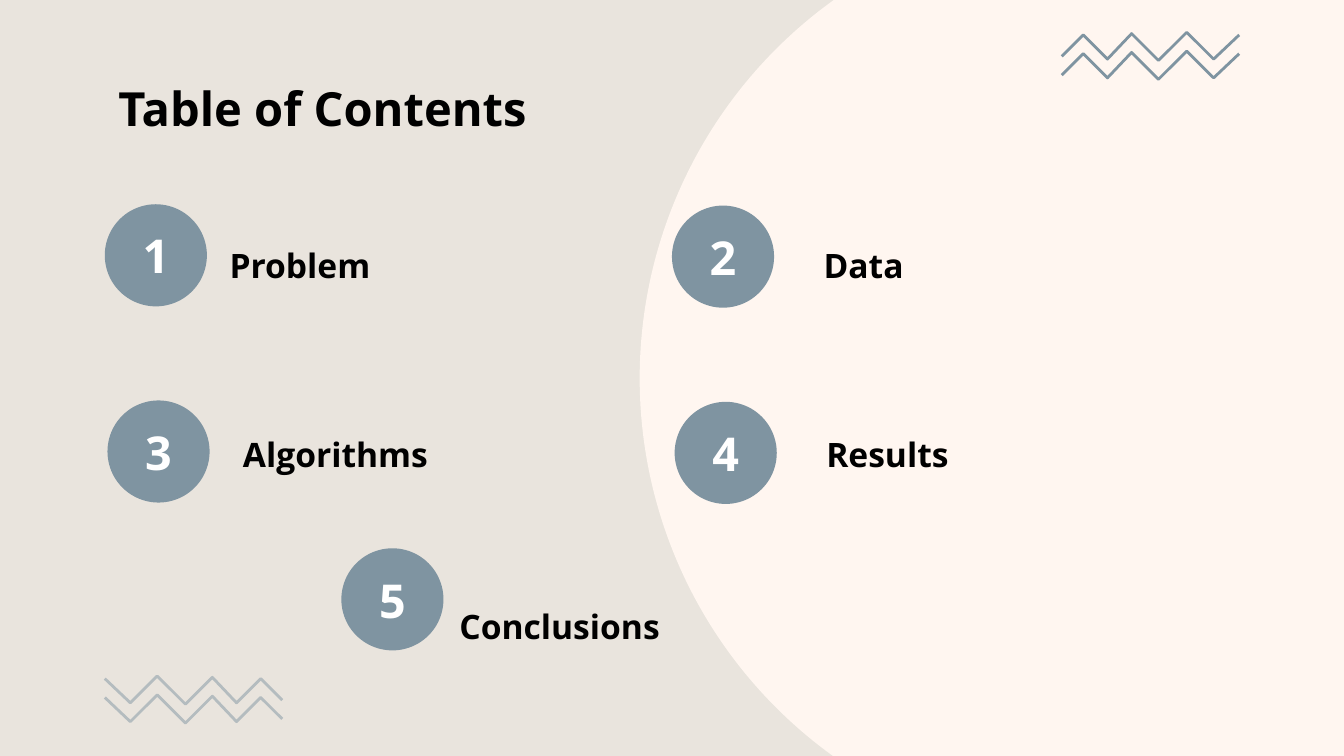
from pptx import Presentation
from pptx.dml.color import RGBColor
from pptx.enum.shapes import MSO_SHAPE
from pptx.enum.text import MSO_ANCHOR, PP_ALIGN
from pptx.util import Inches, Pt

FONT = "Open Sans"
SAND, CREAM, SLATE, MIST = "E9E4DD", "FFF6F0", "7F94A1", "B4BCBF"
BLACK, WHITE = "000000", "FFFFFF"

TITLE = "Table of Contents"
DISC, DIGIT = 0.76, 0.63
LABEL_W, LABEL_H = 2.83, 0.4

# number, label, disc left and top, label left and top
TOPICS = [
    ("1", "Problem", (0.78, 1.52), (1.61, 1.77)),
    ("2", "Data", (5.0, 1.53), (6.03, 1.77)),
    ("3", "Algorithms", (0.8, 2.98), (1.71, 3.18)),
    ("4", "Results", (5.02, 2.99), (6.05, 3.18)),
    ("5", "Conclusions", (2.54, 4.08), (3.32, 4.46)),
]

# left, top, direction, colour
WAVES = [(2.1, 5.03, -1, MIST), (7.9, 0.24, 1, SLATE)]
WAVE_GAP = 0.14
ZIGZAG = [(0, 0.18), (0.16, 0.02), (0.34, 0.2), (0.52, 0.01),
          (0.72, 0.21), (0.93, 0), (1.13, 0.2), (1.32, 0.02)]


def color(code):
    """Turn a hex string into a colour."""
    return RGBColor.from_string(code)


def write(shape, text, size, ink, align=PP_ALIGN.LEFT, anchor=MSO_ANCHOR.MIDDLE):
    """Put one bold line of text into a shape."""
    frame = shape.text_frame
    frame.text = text
    frame.word_wrap = True
    frame.vertical_anchor = anchor
    frame.margin_left = frame.margin_right = Inches(0.1)
    frame.margin_top = frame.margin_bottom = Inches(0.1)
    line = frame.paragraphs[0]
    line.alignment = align
    font = line.runs[0].font
    font.name, font.size, font.bold = FONT, Pt(size), True
    font.color.rgb = color(ink)


def add_label(shapes, left, top, width, height, *style):
    """Add a text box and write into it."""
    box = shapes.add_textbox(Inches(left), Inches(top),
                             Inches(width), Inches(height))
    write(box, *style)


def add_disc(shapes, left, top, size, fill):
    """Add a plain circle without outline."""
    disc = shapes.add_shape(MSO_SHAPE.OVAL, Inches(left), Inches(top),
                            Inches(size), Inches(size))
    disc.shadow.inherit = False
    disc.fill.solid()
    disc.fill.fore_color.rgb = color(fill)
    disc.line.fill.background()


def add_wave(shapes, left, top, way, ink):
    """Add an open zigzag line running right (1) or left (-1)."""
    points = [(Inches(left + way * x), Inches(top + y)) for x, y in ZIGZAG]
    pen = shapes.build_freeform(*points[0], scale=1.0)
    pen.add_line_segments(points[1:], close=False)
    wave = pen.convert_to_shape()
    wave.shadow.inherit = False
    wave.fill.background()
    wave.line.color.rgb = color(ink)
    wave.line.width = Pt(1.5)


deck = Presentation()
deck.slide_width = Inches(10)
deck.slide_height = deck.slide_width * 9 // 16
slide = deck.slides.add_slide(deck.slide_layouts[5])
slide.background.fill.solid()
slide.background.fill.fore_color.rgb = color(SAND)
shapes = slide.shapes

title = shapes.title
title.left, title.top = Inches(0.78), Inches(0.49)
title.width, title.height = Inches(8.44), Inches(0.63)
write(title, TITLE, 25.2, BLACK, anchor=MSO_ANCHOR.TOP)

add_disc(shapes, 4.76, -0.65, 6.93, CREAM)
for left, top, way, ink in WAVES:
    for row in range(2):
        add_wave(shapes, left, top + row * WAVE_GAP, way, ink)

inset = (DISC - DIGIT) / 2
for number, name, (left, top), place in TOPICS:
    add_disc(shapes, left, top, DISC, SLATE)
    add_label(shapes, left + inset, top + inset, DIGIT, DIGIT,
              number, 25, WHITE, PP_ALIGN.CENTER)
    add_label(shapes, *place, LABEL_W, LABEL_H, name, 18, BLACK)

deck.save("out.pptx")
